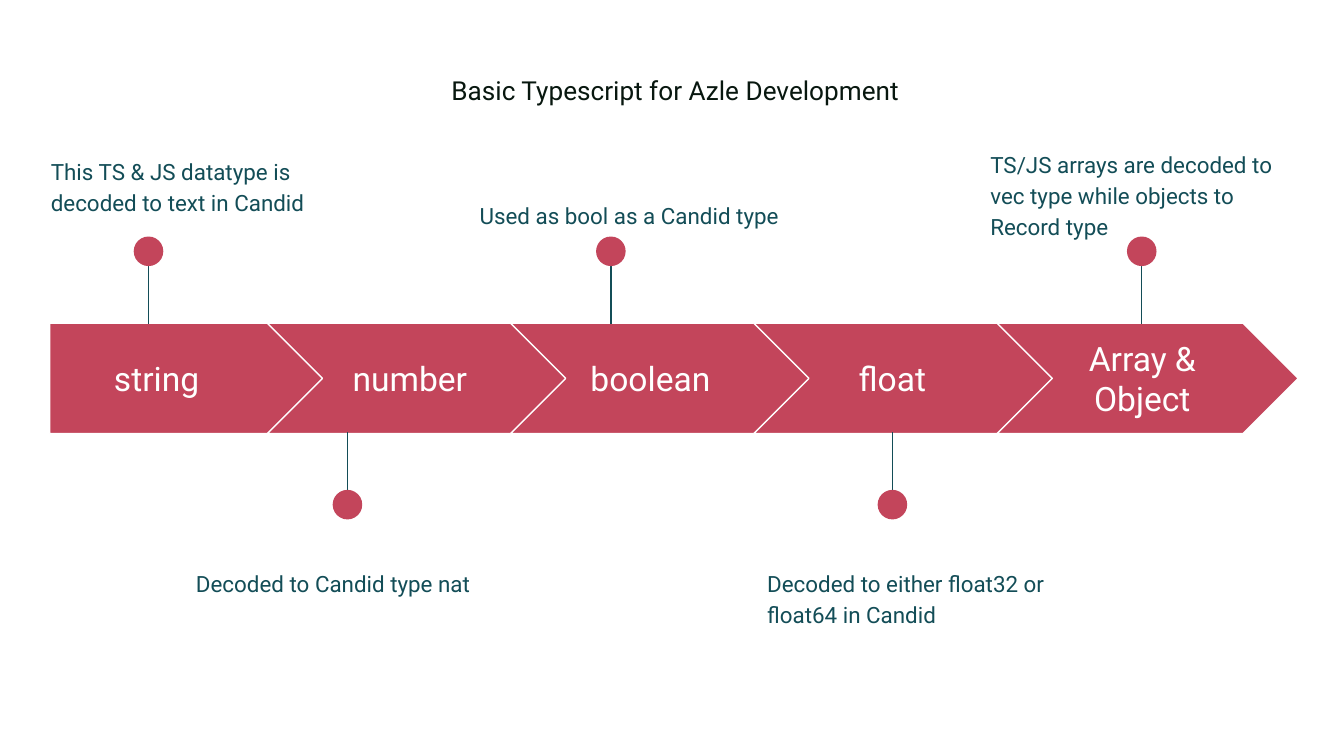
from dataclasses import dataclass
from typing import NamedTuple

from lxml.etree import SubElement
from pptx import Presentation
from pptx.dml.color import RGBColor
from pptx.enum.shapes import MSO_CONNECTOR as Connector, MSO_SHAPE as Preset
from pptx.enum.text import MSO_ANCHOR as Anchor, PP_ALIGN as Align
from pptx.oxml.ns import qn
from pptx.util import Emu, Pt

SCALE = 4572


@dataclass(frozen=True)
class Theme:
    """Colours, type sizes and line width of the slide."""
    font: str = "Roboto"
    background: str = "FFFFFF"
    accent: str = "C3455B"
    on_accent: str = "FFFFFF"
    note: str = "134D57"
    title: str = "08170F"
    title_size: int = 14
    label_size: int = 18
    note_size: int = 12
    line_width: float = 0.75


class Box(NamedTuple):
    """A rectangle in px."""
    left: int
    top: int
    width: int
    height: int

    def inside(self, left, top, width, height):
        """Return a box placed relative to this one."""
        return Box(self.left + left, self.top + top, width, height)


class Stage(NamedTuple):
    """One datatype, with places relative to the timeline's box."""
    name: str
    note: str
    label_left: int
    pin_left: int
    note_left: int
    note_top: int


THEME = Theme()
STAGES = [
    Stage("string", "This TS & JS datatype is decoded to text in Candid", 0, 125, -18, -271),
    Stage("number", "Decoded to Candid type nat", 392, 421, 198, 342),
    Stage("boolean", "Used as bool as a Candid type", 750, 813, 620, -206),
    Stage("float", "Decoded to either float32 or float64 in Candid", 1110, 1232, 1048, 342),
    Stage("Array & Object", "TS/JS arrays are decoded to vec type while objects to Record type",
          1482, 1603, 1380, -282),
]


def px(*lengths):
    """Turn px lengths into EMU."""
    return [Emu(length * SCALE) for length in lengths]


def color(value):
    """Turn a hex value into a colour."""
    return RGBColor.from_string(value)


def add_text(slide, box, text, size, ink, align=Align.LEFT, anchor=Anchor.TOP,
             spacing=1.0, after=0):
    """Add a wrapped text box with one formatted paragraph."""
    frame = slide.shapes.add_textbox(*px(*box)).text_frame
    frame.word_wrap = True
    frame.vertical_anchor = anchor
    frame.margin_left, frame.margin_top, frame.margin_right, frame.margin_bottom = px(20, 20, 20, 20)
    paragraph = frame.paragraphs[0]
    paragraph.alignment = align
    paragraph.line_spacing = spacing
    paragraph.space_after = Pt(after)
    run = paragraph.add_run()
    run.text = text
    run.font.name = THEME.font
    run.font.size = Pt(size)
    run.font.color.rgb = color(ink)


def add_filled(shapes, preset, box, outline=None):
    """Add an accent-coloured preset shape with an optional outline."""
    shape = shapes.add_shape(preset, *px(*box))
    shape.shadow.inherit = False
    shape.fill.solid()
    shape.fill.fore_color.rgb = color(THEME.accent)
    if outline:
        shape.line.color.rgb = color(outline)
        shape.line.width = Pt(THEME.line_width)
    else:
        shape.line.fill.background()


def add_pin(slide, box, above):
    """Add a stem and dot, with the dot on the side away from the timeline."""
    shapes = slide.shapes.add_group_shape().shapes
    center = box.left + box.width // 2
    bottom = box.top + box.height
    start, end = (box.top + 8, bottom) if above else (bottom - 8, box.top)
    stem = shapes.add_connector(Connector.STRAIGHT, *px(center, start, center, end))
    stem.line.color.rgb = color(THEME.note)
    stem.line.width = Pt(THEME.line_width)
    SubElement(stem.element.spPr, qn("a:effectLst"))
    dot_top = 0 if above else box.height - box.width
    add_filled(shapes, Preset.OVAL, box.inside(0, dot_top, box.width, box.width))


def add_timeline(slide, box, stages):
    """Add the row of arrows, each with its label, pin and note."""
    first_width, arrow_width, first_step, step = 410, 448, 324, 362
    for index, stage in enumerate(stages):
        if index == 0:
            preset, left, width, label_width = Preset.PENTAGON, 0, first_width, 318
        else:
            preset, left, width, label_width = (
                Preset.CHEVRON, first_step + step * (index - 1), arrow_width, 288)
        above = index % 2 == 0
        add_filled(slide.shapes, preset, box.inside(left, 0, width, box.height), THEME.on_accent)
        add_text(slide, box.inside(stage.label_left, 31, label_width, 102), stage.name,
                 THEME.label_size, THEME.on_accent, align=Align.CENTER, anchor=Anchor.MIDDLE)
        add_pin(slide, box.inside(stage.pin_left, -129 if above else 162, 44, 130), above)
        add_text(slide, box.inside(stage.note_left, stage.note_top, 490, 198), stage.note,
                 THEME.note_size, THEME.note, spacing=1.15, after=16)


def add_title(slide, box, text):
    """Add the centred slide title."""
    add_text(slide, box, text, THEME.title_size, THEME.title,
             align=Align.CENTER, anchor=Anchor.MIDDLE)


def main():
    """Build and save the presentation."""
    presentation = Presentation()
    presentation.slide_width, presentation.slide_height = px(2000, 1125)
    slide = presentation.slides.add_slide(presentation.slide_layouts[6])
    slide.background.fill.solid()
    slide.background.fill.fore_color.rgb = color(THEME.background)
    add_timeline(slide, Box(74, 481, 1858, 164), STAGES)
    add_title(slide, Box(277, 88, 1456, 92), "Basic Typescript for Azle Development")
    presentation.save("out.pptx")


if __name__ == "__main__":
    main()
